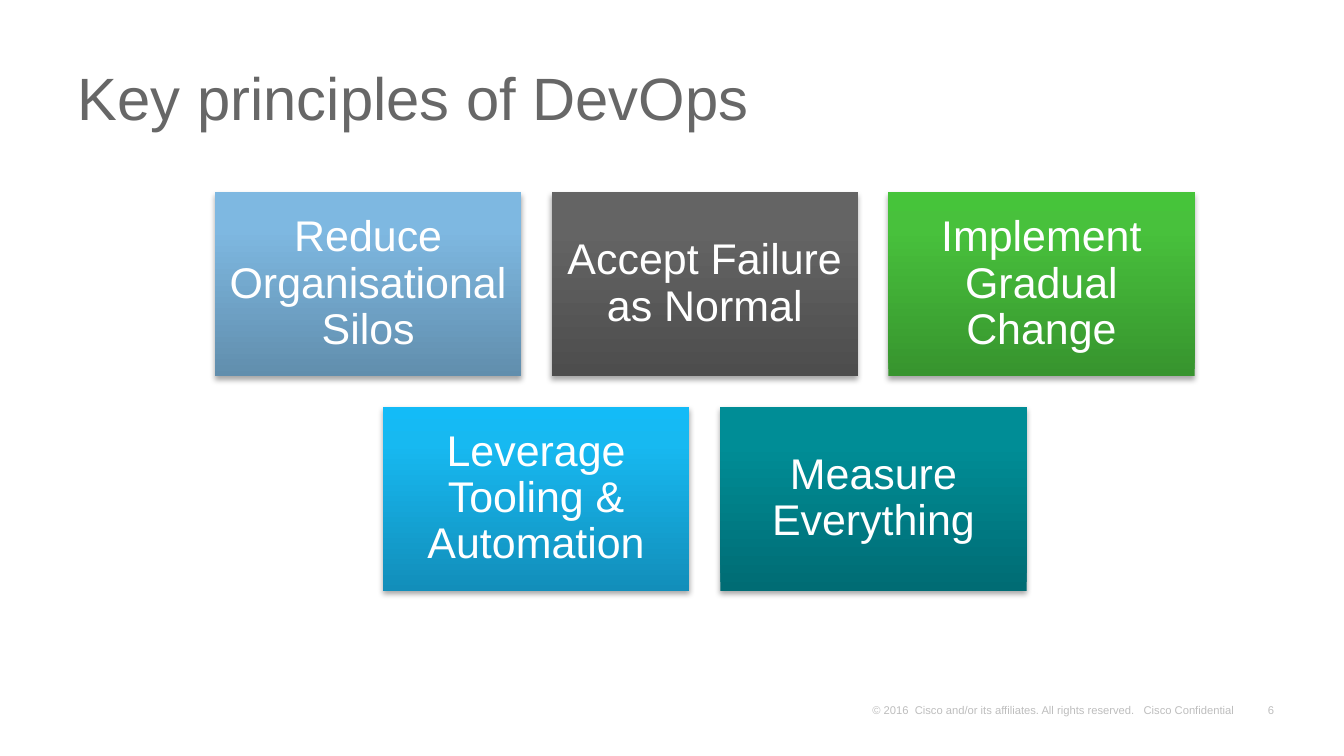
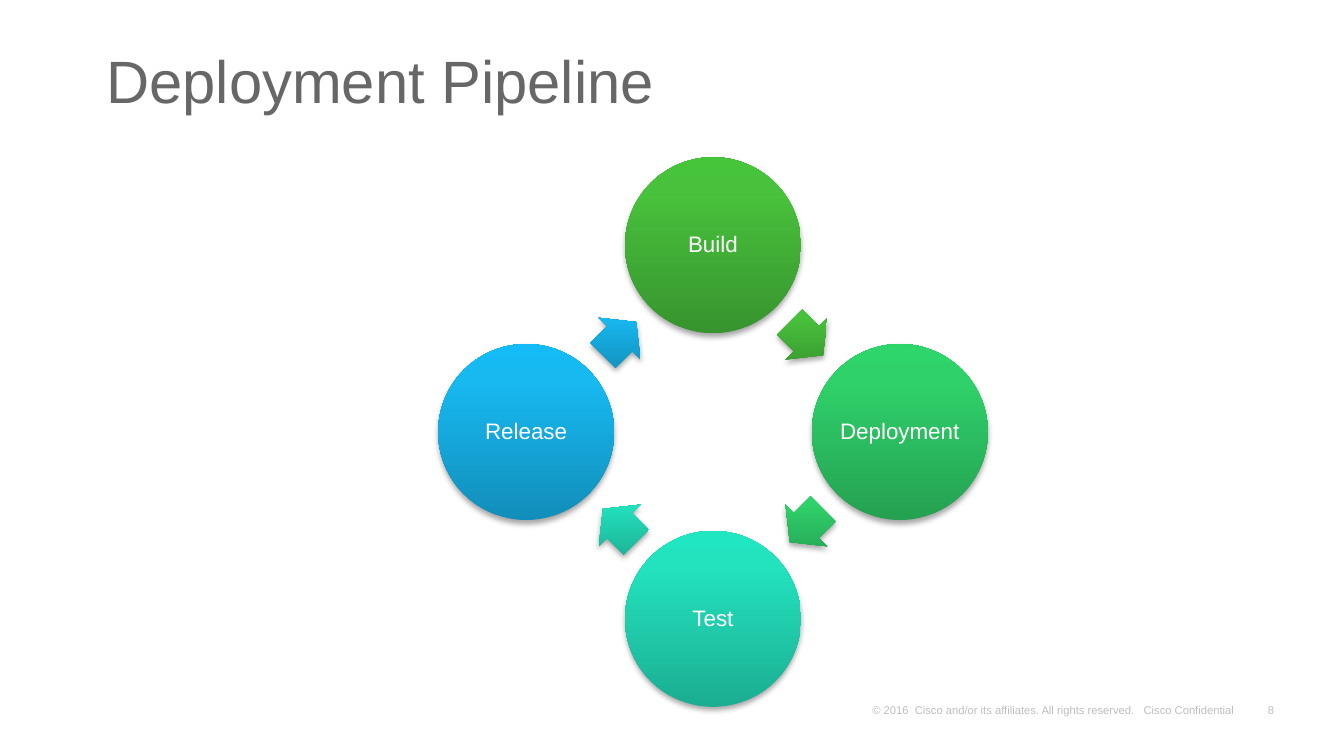
"""Build two DevOps slides: key principles and the deployment pipeline."""
from math import cos, radians, sin

from lxml.etree import SubElement
from pptx import Presentation
from pptx.dml.color import RGBColor
from pptx.enum.shapes import MSO_SHAPE
from pptx.enum.text import MSO_ANCHOR, MSO_AUTO_SIZE, PP_ALIGN
from pptx.oxml import parse_xml
from pptx.oxml.ns import nsdecls, qn
from pptx.util import Pt

PX = 4572
FONT = "Arial"
INK = {"title": "676767", "white": "FFFFFF", "foot": "000000"}
FADE = {
    "sky": ("618EAD", "7EB8E1", "7DB9E3"),
    "grey": ("4D4D4D", "646464", "646464"),
    "green": ("37942E", "48C13C", "46C43A"),
    "blue": ("128EBA", "17B9F1", "13BBF7"),
    "teal": ("006C74", "008D96", "008E97"),
    "lime": ("25A152", "2FD16A", "2DD56A"),
    "mint": ("1BAE92", "23E2BE", "20E6C1"),
}
FOOT = "© 2016  Cisco and/or its affiliates. All rights reserved.   Cisco Confidential"


def write(shape, text, size, ink, align, anchor, pad, space=1.0, wrap=True):
    frame = shape.text_frame
    frame.word_wrap = wrap
    frame.auto_size = MSO_AUTO_SIZE.NONE
    frame.vertical_anchor = anchor
    frame.margin_left = frame.margin_right = pad[0] * PX
    frame.margin_top = frame.margin_bottom = pad[1] * PX
    para = frame.paragraphs[0]
    para.alignment = align
    para.line_spacing = space
    run = para.add_run()
    run.text = text
    run.font.name = FONT
    run.font.size = Pt(size)
    run.font.color.rgb = RGBColor.from_string(INK[ink])
    return run


def block(slide, kind, left, top, width, height, fade):
    shape = slide.shapes.add_shape(kind, *[round(n) * PX for n in (left, top, width, height)])
    shape.line.fill.background()
    shape.shadow.inherit = False
    stops = "".join(
        f'<a:gs pos="{pos}"><a:srgbClr val="{tone}"/></a:gs>'
        for pos, tone in zip((0, 80000, 100000), FADE[fade])
    )
    fill = parse_xml(
        f'<a:gradFill {nsdecls("a")} rotWithShape="0"><a:gsLst>{stops}</a:gsLst>'
        '<a:lin ang="16200000" scaled="0"/></a:gradFill>'
    )
    props = shape._element.spPr
    props.find(qn("a:prstGeom")).addnext(fill)
    glow = SubElement(
        props.find(qn("a:effectLst")), qn("a:outerShdw"),
        blurRad=str(Pt(3.1)), dist=str(Pt(1.8)), dir="5400000", rotWithShape="0",
    )
    tone = SubElement(glow, qn("a:srgbClr"), val="000000")
    SubElement(tone, qn("a:alpha"), val="35000")
    return shape


deck = Presentation()
deck.slide_width, deck.slide_height = 2000 * PX, 1125 * PX

pages = []
for head, page, box in (
    ("Key principles of DevOps", "6", (96, 74, 1826, 160)),
    ("Deployment Pipeline", "8", (138, 20, 1724, 218)),
):
    slide = deck.slides.add_slide(deck.slide_layouts[5])
    pages.append(slide)
    title = slide.shapes.title
    title.left, title.top, title.width, title.height = [n * PX for n in box]
    write(title, head, 32, "title", PP_ALIGN.LEFT, MSO_ANCHOR.MIDDLE, (20, 10), 0.8)
    for text, left, width, align, wrap in (
        (page, 1862, 48, PP_ALIGN.RIGHT, False),
        (FOOT, 1284, 582, PP_ALIGN.LEFT, True),
    ):
        note = slide.shapes.add_textbox(left * PX, 1038 * PX, width * PX, 34 * PX)
        run = write(note, text, 6, "foot", align, MSO_ANCHOR.BOTTOM, (14, 6), wrap=wrap)
        tone = run._r.rPr.find(".//" + qn("a:srgbClr"))
        SubElement(tone, qn("a:alpha"), val="25000")

rules, cycle = pages

wide, high, gap = 456, 274, 45
step = wide + gap
rows = (
    (("Reduce Organisational Silos", "sky"), ("Accept Failure as Normal", "grey"),
     ("Implement Gradual Change", "green")),
    (("Leverage Tooling & Automation", "blue"), ("Measure Everything", "teal")),
)
for row, cards in enumerate(rows):
    start = 320 + (3 - len(cards)) * step / 2
    for col, (text, fade) in enumerate(cards):
        card = block(rules, MSO_SHAPE.RECTANGLE, start + col * step,
                     286 + row * (high + gap), wide, high, fade)
        write(card, text, 23, "white", PP_ALIGN.CENTER, MSO_ANCHOR.MIDDLE, (20, 20), 0.9)

mid_x, mid_y, reach, disc = 1061, 643, 278, 262
long, tall = 70, 88
stages = (("Build", "green"), ("Deployment", "lime"), ("Test", "mint"), ("Release", "blue"))
for turn, (text, fade) in enumerate(stages):
    angle = radians(90 * turn - 90)
    ball = block(cycle, MSO_SHAPE.OVAL, mid_x + reach * cos(angle) - disc / 2,
                 mid_y + reach * sin(angle) - disc / 2, disc, disc, fade)
    write(ball, text, 12, "white", PP_ALIGN.CENTER, MSO_ANCHOR.MIDDLE, (2, 2), 0.9)
    angle += radians(45)
    near = reach * cos(radians(45))
    arrow = block(cycle, MSO_SHAPE.RIGHT_ARROW, mid_x + near * cos(angle) - long / 2,
                  mid_y + near * sin(angle) - tall / 2, long, tall, fade)
    arrow.adjustments[0], arrow.adjustments[1] = 0.6, 0.5
    arrow.rotation = 45 + 90 * turn

deck.save("out.pptx")
